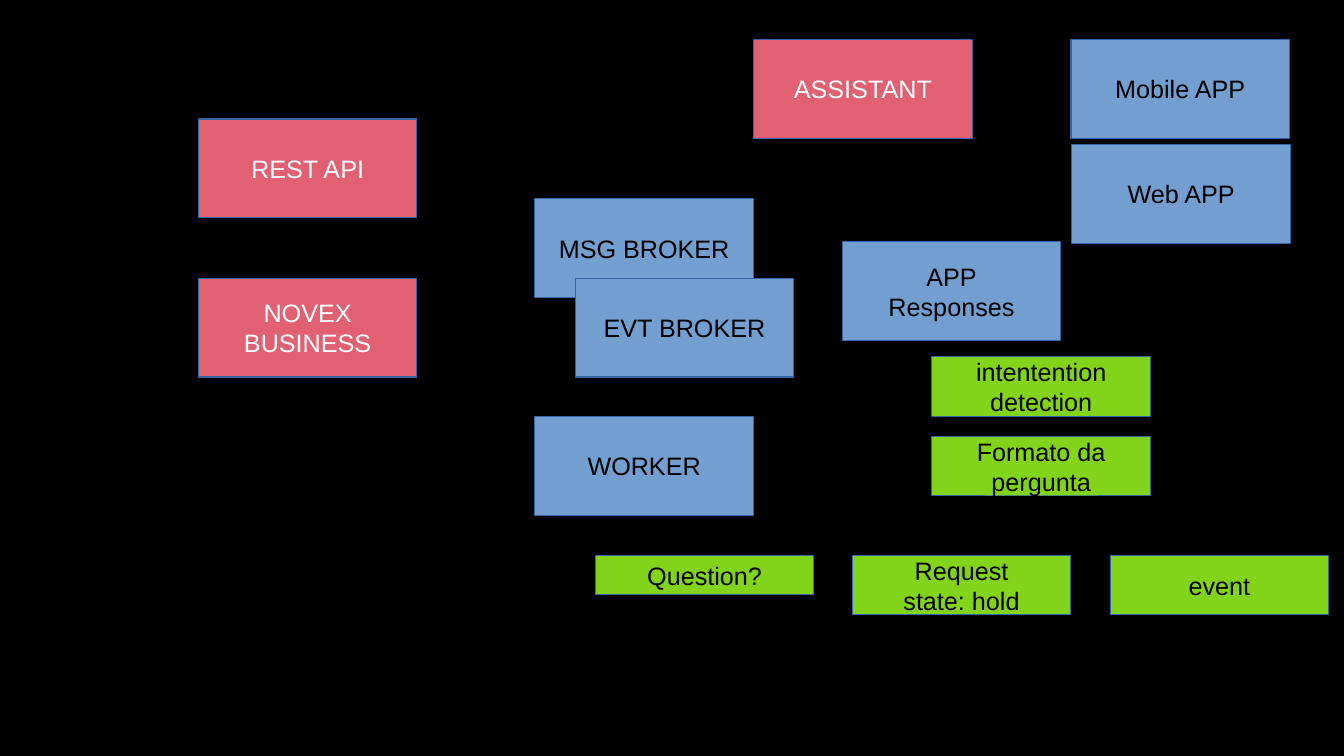
"""Build the slide of services, brokers, apps and messages."""
from dataclasses import dataclass

from pptx import Presentation
from pptx import util as u
from pptx.dml.color import RGBColor
from pptx.enum import shapes, text


@dataclass(frozen=True)
class Theme:
    back: str = "000000"
    edge: str = "3465A4"
    red: str = "E16173"
    blue: str = "729FCF"
    green: str = "81D41A"
    light: str = "FFFFFF"
    dark: str = "000000"
    font: str = "Arial"
    size: int = 18


class Board:
    def __init__(self, slide, theme):
        self.slide = slide
        self.theme = theme

    def paint(self, fill, color):
        fill.solid()
        fill.fore_color.rgb = RGBColor.from_string(color)

    def ground(self):
        self.paint(self.slide.background.fill, self.theme.back)

    def box(self, label, left, top, high, fill, ink):
        box = self.slide.shapes.add_shape(
            shapes.MSO_SHAPE.RECTANGLE,
            u.Pt(left), u.Pt(top), u.Pt(WIDE), u.Pt(high))
        box.shadow.inherit = False
        self.paint(box.fill, fill)
        self.paint(box.line.fill, self.theme.edge)
        box.line.width = u.Pt(0)
        frame = box.text_frame
        frame.word_wrap = True
        frame.vertical_anchor = text.MSO_ANCHOR.MIDDLE
        frame.text = label
        para = frame.paragraphs[0]
        para.alignment = text.PP_ALIGN.CENTER
        para.font.name = self.theme.font
        para.font.size = u.Pt(self.theme.size)
        para.font.color.rgb = RGBColor.from_string(ink)


WIDE, TALL, LOW, THIN = 156.2, 70.6, 42.5, 28.3

CORE = [
    ("REST API", 141.8, 85),
    ("NOVEX BUSINESS", 141.8, 198.7),
    ("ASSISTANT", 538.6, 28.1),
]
APPS = [
    ("MSG BROKER", 382.3, 141.8),
    ("EVT BROKER", 411.1, 198.7),
    ("WORKER", 382.3, 297.4),
    ("APP\vResponses", 601.9, 172.8),
    ("Mobile APP", 765.4, 28.1),
    ("Web APP", 766.1, 103),
]
NOTES = [
    ("Question?", 425.5, 396.7, THIN),
    ("Request\vstate: hold", 609.1, 396.7, LOW),
    ("event", 793.4, 396.7, LOW),
    ("intentention detection", 666, 254.9, LOW),
    ("Formato da pergunta", 666, 311.8, LOW),
]


def main():
    deck = Presentation()
    deck.slide_width, deck.slide_height = u.Pt(960.5), u.Pt(540)
    theme = Theme()
    board = Board(deck.slides.add_slide(deck.slide_layouts[6]), theme)
    board.ground()
    for label, left, top in CORE:
        board.box(label, left, top, TALL, theme.red, theme.light)
    for label, left, top in APPS:
        board.box(label, left, top, TALL, theme.blue, theme.dark)
    for label, left, top, high in NOTES:
        board.box(label, left, top, high, theme.green, theme.dark)
    deck.save("out.pptx")


if __name__ == "__main__":
    main()
